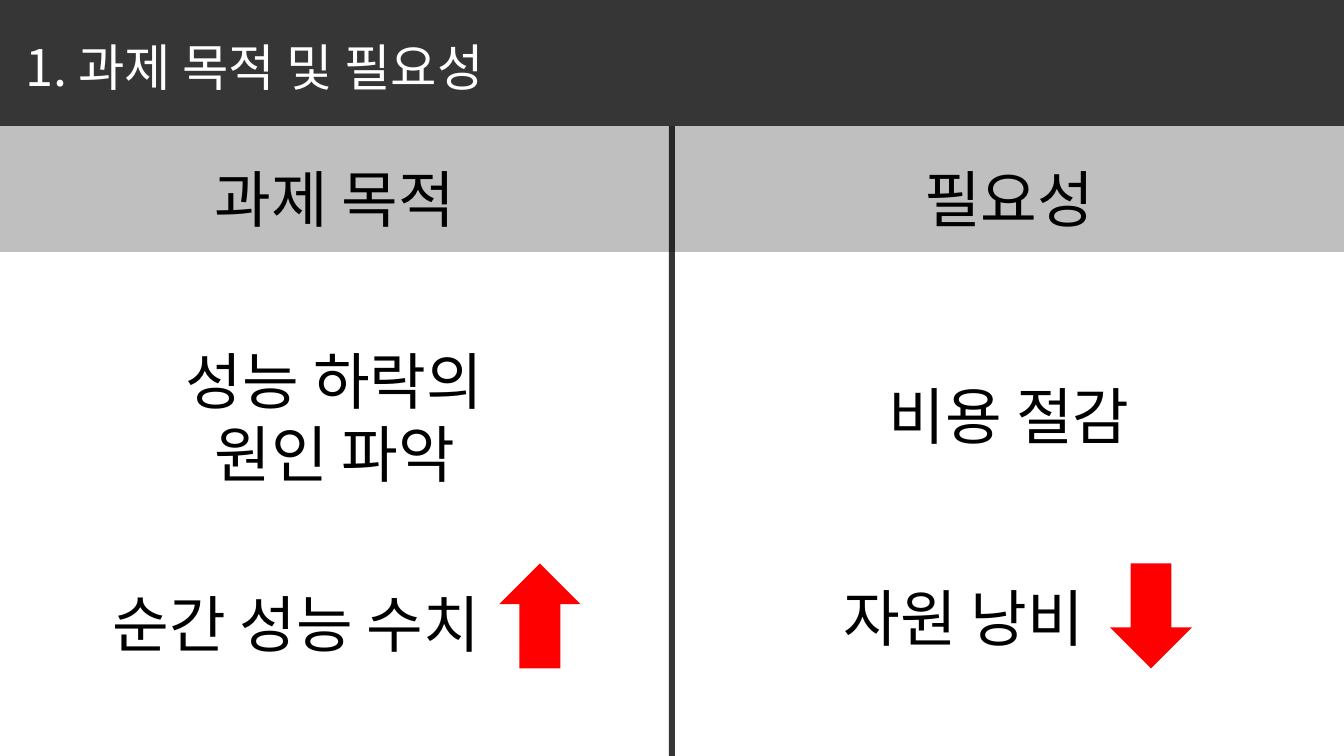
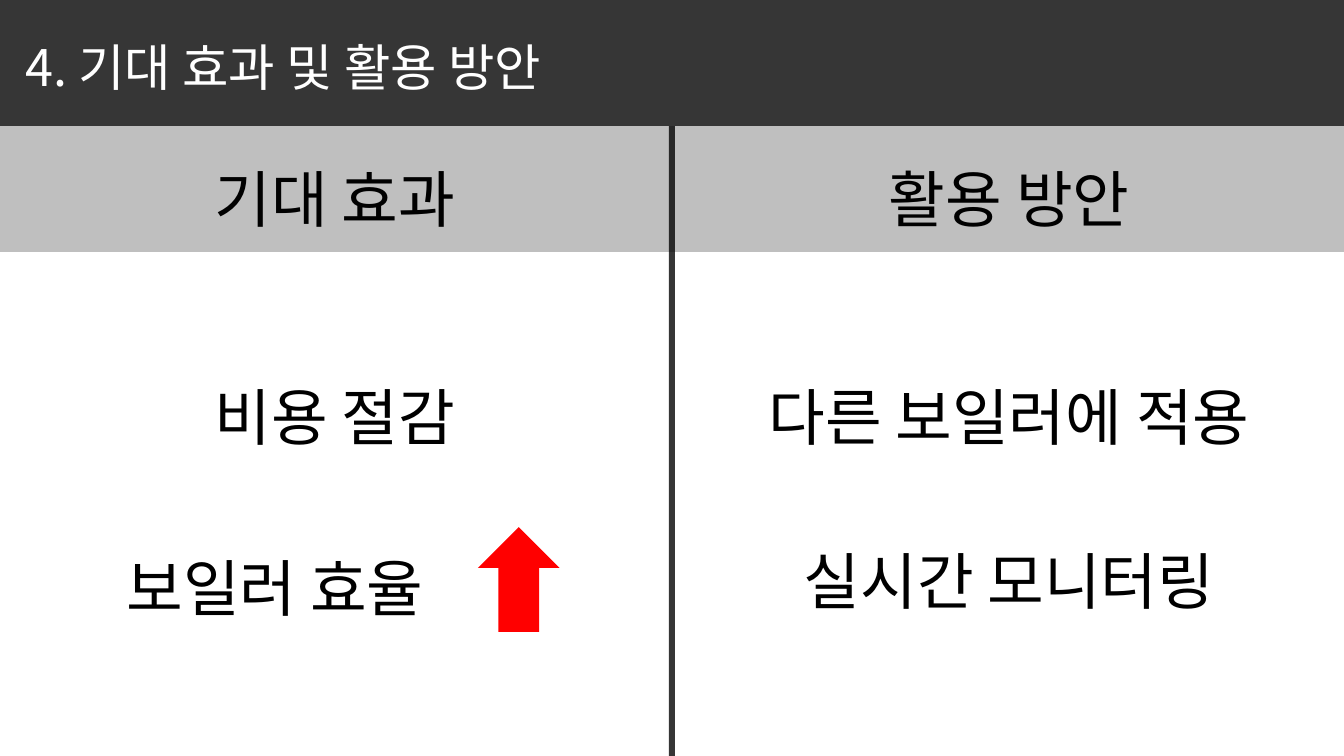
from dataclasses import dataclass

from lxml import etree
from pptx import Presentation
from pptx import util as u
from pptx.dml.color import RGBColor
from pptx.enum import shapes, text
from pptx.oxml.ns import qn

FONT = "Noto Sans CJK KR"
BLACK, WHITE, GRAY, RED = "000000", "FFFFFF", "AEAEAE", "FF0000"
WIDE, HIGH, BAND = 13.33, 7.5, 1.25
RULE = 0.06  # width of the centre divider
LEFT, RIGHT = 3.32, 10.01  # column centres
HEAD = 1.96  # centre height of the column heads
LINE = 0.74  # height of one body line


@dataclass(frozen=True)
class Label:
    lines: tuple[str, ...]
    x: float  # centre
    y: float  # centre


@dataclass(frozen=True)
class Arrow:
    x: float
    y: float
    turn: int = 0


@dataclass(frozen=True)
class Page:
    title: str
    heads: tuple[str, str]
    labels: tuple[Label, ...]
    arrows: tuple[Arrow, ...]


PAGES = (
    Page(
        "1. 과제 목적 및 필요성",
        ("과제 목적", "필요성"),
        (
            Label(("성능 하락의", "원인 파악"), LEFT, 4.13),
            Label(("순간 성능 수치",), 2.94, 6.18),
            Label(("비용 절감",), RIGHT, 4.12),
            Label(("자원 낭비",), 9.56, 6.12),
        ),
        (Arrow(4.95, 5.59), Arrow(11.01, 5.59, 180)),
    ),
    Page(
        "4. 기대 효과 및 활용 방안",
        ("기대 효과", "활용 방안"),
        (
            Label(("비용 절감",), LEFT, 4.13),
            Label(("보일러 효율",), 2.73, 5.82),
            Label(("다른 보일러에 적용",), RIGHT, 4.13),
            Label(("실시간 모니터링",), RIGHT, 5.75),
        ),
        (Arrow(4.74, 5.23),),
    ),
)


def paint(fill, color: str, alpha: int = 100) -> None:
    fill.solid()
    fill.fore_color.rgb = RGBColor.from_string(color)
    if alpha < 100:
        tone = fill._xPr.find(".//" + qn("a:srgbClr"))
        etree.SubElement(tone, qn("a:alpha")).set("val", str(alpha * 1000))


def draw(slide, kind, box: tuple, color: str, alpha: int = 100):
    shape = slide.shapes.add_shape(kind, *map(u.Inches, box))
    shape.shadow.inherit = False
    shape.line.fill.background()
    paint(shape.fill, color, alpha)
    return shape


def bar(slide, box: tuple, color: str):
    return draw(slide, shapes.MSO_SHAPE.RECTANGLE, box, color, 79)


def write(frame, lines: tuple, size: int, color: str, align) -> None:
    frame.word_wrap = False
    frame.auto_size = text.MSO_AUTO_SIZE.NONE
    frame.vertical_anchor = text.MSO_ANCHOR.MIDDLE
    for i, line in enumerate(lines):
        para = frame.add_paragraph() if i else frame.paragraphs[0]
        para.alignment = align
        run = para.add_run()
        run.text = line
        run.font.size = u.Pt(size)
        run.font.color.rgb = RGBColor.from_string(color)
        run.font.name = FONT
        # East Asian face for the Korean text
        props = run._r.get_or_add_rPr()
        etree.SubElement(props, qn("a:ea")).set("typeface", FONT)


def put(slide, label: Label) -> None:
    wide, high = 5.2, LINE * len(label.lines) + 0.1
    box = (label.x - wide / 2, label.y - high / 2, wide, high)
    frame = slide.shapes.add_textbox(*map(u.Inches, box)).text_frame
    write(frame, label.lines, 44, BLACK, text.PP_ALIGN.CENTER)


def name(slide, words: str) -> None:
    title = slide.shapes.title
    title.left, title.top = u.Inches(0.15), u.Inches(0.3)
    title.width, title.height = u.Inches(5.65), u.Inches(0.71)
    write(title.text_frame, (words,), 36, WHITE, text.PP_ALIGN.LEFT)
    # The dark band lies behind the title
    band = bar(slide, (0, 0, WIDE, BAND), BLACK)
    title.element.addprevious(band.element)


def build(deck, page: Page) -> None:
    slide = deck.slides.add_slide(deck.slide_layouts[5])
    name(slide, page.title)
    # Column heads and divider
    bar(slide, (0, BAND, WIDE, BAND), GRAY)
    bar(slide, ((WIDE - RULE) / 2, BAND, RULE, HIGH - BAND), BLACK)
    for head, x in zip(page.heads, (LEFT, RIGHT)):
        put(slide, Label((head,), x, HEAD))
    # Column content
    for label in page.labels:
        put(slide, label)
    for arrow in page.arrows:
        box = (arrow.x, arrow.y, 0.81, 1.04)
        shape = draw(slide, shapes.MSO_SHAPE.UP_ARROW, box, RED)
        shape.rotation = arrow.turn


def main() -> None:
    deck = Presentation()
    deck.slide_width, deck.slide_height = u.Inches(WIDE), u.Inches(HIGH)
    for page in PAGES:
        build(deck, page)
    deck.save("out.pptx")


if __name__ == "__main__":
    main()
